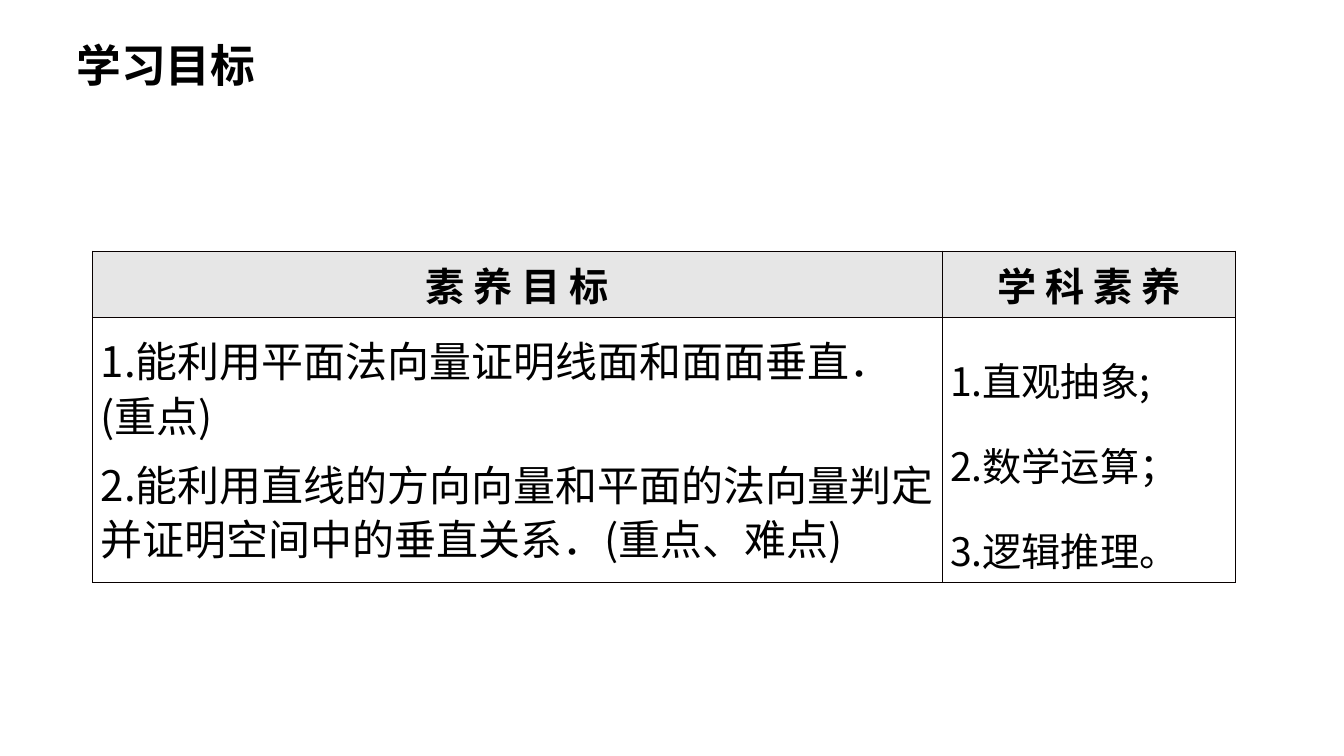
from dataclasses import dataclass

from lxml.etree import SubElement
from pptx import Presentation
from pptx.dml.color import RGBColor
from pptx.enum.text import MSO_ANCHOR as Anchor, MSO_AUTO_SIZE as AutoSize, PP_ALIGN as Align
from pptx.oxml.ns import qn
from pptx.slide import Slide
from pptx.table import _Cell as Cell
from pptx.text.text import TextFrame
from pptx.util import Inches, Pt

FONT = "Noto Sans CJK SC"
COLORS = {"text": "000000", "border": "080000", "header": "E6E6E6"}
SLIDE_WIDTH, SLIDE_HEIGHT = Inches(13.34), Inches(7.5)
COLUMN_SHARES = (0.632, 0.218)
ROW_SHARES = (0.063, 0.337)
TABLE_LEFT, TABLE_TOP = 0.069, 0.332


@dataclass(frozen=True)
class TextStyle:
    size: int
    bold: bool = False
    align: Align = Align.LEFT
    line_spacing: float = 1.0
    space_before: int = 0


@dataclass(frozen=True)
class CellContent:
    row: int
    column: int
    text: str
    style: TextStyle
    fill: str = ""


TITLE = TextStyle(32, True, Align.CENTER, 1.5)
HEADER = TextStyle(28, True, Align.CENTER)
GOALS = TextStyle(30, line_spacing=0.9, space_before=10)
SKILLS = TextStyle(28, line_spacing=1.5)

CELLS = (
    CellContent(0, 0, "素 养 目 标", HEADER, "header"),
    CellContent(0, 1, "学 科 素 养", HEADER, "header"),
    CellContent(1, 0, "1.能利用平面法向量证明线面和面面垂直．(重点)\n"
                "2.能利用直线的方向向量和平面的法向量判定并证明空间中的垂直关系．(重点、难点)", GOALS),
    CellContent(1, 1, "1.直观抽象;\n2.数学运算；\n3.逻辑推理。", SKILLS),
)


def across(share: float) -> int:
    return round(SLIDE_WIDTH * share)


def down(share: float) -> int:
    return round(SLIDE_HEIGHT * share)


def write_text(text_frame: TextFrame, text: str, style: TextStyle) -> None:
    text_frame.text = text
    for paragraph in text_frame.paragraphs:
        paragraph.alignment = style.align
        paragraph.line_spacing = style.line_spacing
        paragraph.space_before = Pt(style.space_before)
        for run in paragraph.runs:
            run.font.name = FONT
            run.font.size = Pt(style.size)
            run.font.bold = style.bold
            run.font.color.rgb = RGBColor.from_string(COLORS["text"])
            SubElement(run.font._element, qn("a:ea"), typeface=FONT)


def draw_borders(cell: Cell) -> None:
    properties = cell._tc.get_or_add_tcPr()
    for index, side in enumerate(("lnL", "lnR", "lnT", "lnB")):
        line = SubElement(properties, qn(f"a:{side}"), w=str(Pt(0.45)))
        fill = SubElement(line, qn("a:solidFill"))
        SubElement(fill, qn("a:srgbClr"), val=COLORS["border"])
        properties.insert(index, line)


def fill_cell(cell: Cell, content: CellContent) -> None:
    cell.vertical_anchor = Anchor.MIDDLE
    cell.margin_left = cell.margin_right = Inches(0.08)
    cell.margin_top = cell.margin_bottom = Inches(0.05)
    if content.fill:
        cell.fill.solid()
        cell.fill.fore_color.rgb = RGBColor.from_string(COLORS[content.fill])
    else:
        cell.fill.background()
    draw_borders(cell)
    write_text(cell.text_frame, content.text, content.style)


def draw_table(slide: Slide) -> None:
    table = slide.shapes.add_table(
        len(ROW_SHARES), len(COLUMN_SHARES), across(TABLE_LEFT), down(TABLE_TOP),
        across(sum(COLUMN_SHARES)), down(sum(ROW_SHARES))).table
    table.first_row = table.horz_banding = False
    for column, share in zip(table.columns, COLUMN_SHARES):
        column.width = across(share)
    for row, share in zip(table.rows, ROW_SHARES):
        row.height = down(share)
    for content in CELLS:
        fill_cell(table.cell(content.row, content.column), content)


def draw_title(slide: Slide) -> None:
    title = slide.shapes.add_textbox(across(0.018), down(0.008), across(0.211), down(0.12))
    title.text_frame.word_wrap = True
    title.text_frame.auto_size = AutoSize.SHAPE_TO_FIT_TEXT
    write_text(title.text_frame, "学习目标", TITLE)


def main() -> None:
    """Build the learning goals slide."""
    presentation = Presentation()
    presentation.slide_width, presentation.slide_height = SLIDE_WIDTH, SLIDE_HEIGHT
    slide = presentation.slides.add_slide(presentation.slide_layouts[6])
    draw_table(slide)
    draw_title(slide)
    presentation.save("out.pptx")


if __name__ == "__main__":
    main()
